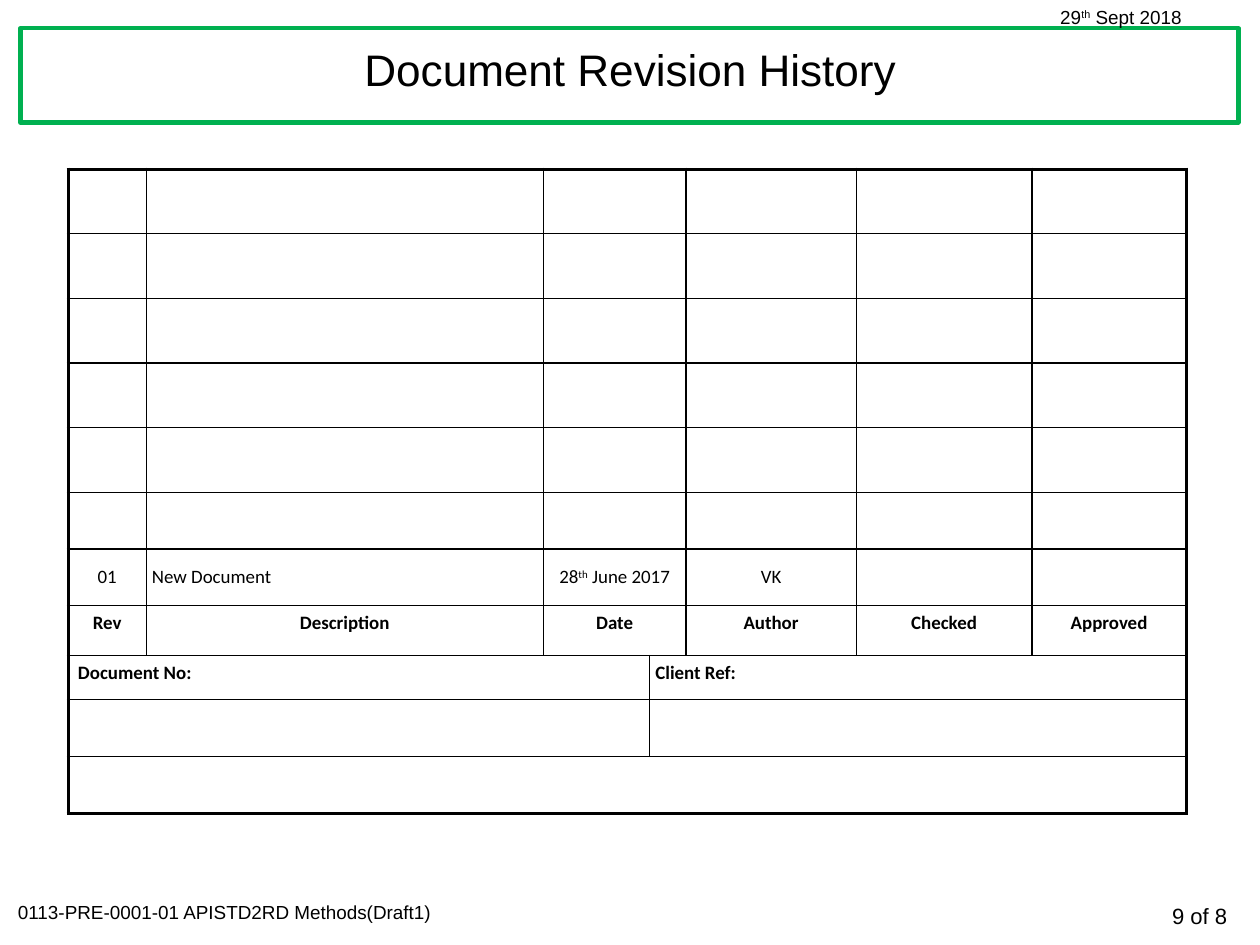
"""Build the document revision history slide."""
import pptx
import pptx.dml.color
import pptx.enum.shapes
import pptx.enum.text
import pptx.oxml
import pptx.oxml.ns
import pptx.util

Inches, Pt = pptx.util.Inches, pptx.util.Pt
ALIGN, ANCHOR = pptx.enum.text.PP_ALIGN, pptx.enum.text.MSO_ANCHOR
LEFT, CENTER, RIGHT = ALIGN.LEFT, ALIGN.CENTER, ALIGN.RIGHT

COLORS = {"text": "000000", "border": "000000", "frame": "00B050", "paper": "FFFFFF"}
TITLE = "Document Revision History"
NOTES = [
    ((9.4, 7.91, 1.52, 0.34), ["9 of 8"], 14, RIGHT),
    ((0.06, 7.89, 4.54, 0.3), ["0113-PRE-0001-01 APISTD2RD Methods(Draft1)"], 12, LEFT),
    ((9.25, 0, 1.68, 0.3), ["29", "^th", " Sept 2018"], 12, LEFT),
]
COLUMNS = [0.69, 3.5, 0.94, 0.32, 1.5, 1.55, 1.36]
ROWS = [0.57] * 5 + [0.5, 0.5, 0.44, 0.39, 0.5, 0.5]
REVISION_ROW, HEADER_ROW, REFERENCE_ROW = 6, 7, 8
REVISION = {0: ["01"], 1: ["New Document"], 2: ["28", "^th", " June 2017"], 4: ["VK"]}
HEADER = {0: ["Rev"], 1: ["Description"], 2: ["Date"], 4: ["Author"],
          5: ["Checked"], 6: ["Approved"]}
REFERENCES = {0: [" Document No:"], 3: ["Client Ref:"]}
MERGES = [(row, 2, 3) for row in range(REFERENCE_ROW)]
MERGES += [(row, first, last) for row in (8, 9) for first, last in ((0, 2), (3, 6))]
MERGES += [(10, 0, 6)]
THIN, THICK = 1, 2.25


def rgb(name):
    return pptx.dml.color.RGBColor.from_string(COLORS[name])


def write(tf, runs, size, align, font="Arial", bold=False):
    """Fill the first paragraph; a run that starts with ^ is superscript."""
    p = tf.paragraphs[0]
    p.alignment = align
    for text in runs:
        r = p.add_run()
        r.text = text.lstrip("^")
        r.font.name, r.font.size, r.font.bold = font, Pt(size), bold
        r.font.color.rgb = rgb("text")
        if text.startswith("^"):
            r.font._element.set("baseline", "30000")
    return p


def set_borders(cell, widths):
    """Draw the left, right, top and bottom lines of a cell."""
    tc_pr = cell._tc.get_or_add_tcPr()
    for side, width in zip("LRTB", widths):
        tc_pr.append(pptx.oxml.parse_xml(
            f'<a:ln{side} {pptx.oxml.ns.nsdecls("a")} w="{int(Pt(width))}"><a:solidFill>'
            f'<a:srgbClr val="{COLORS["border"]}"/></a:solidFill></a:ln{side}>'))


def add_title(s):
    frame = s.shapes.add_shape(pptx.enum.shapes.MSO_SHAPE.RECTANGLE,
                               *map(Inches, (0.18, 0.25, 10.74, 0.83)))
    frame.shadow.inherit = False
    frame.fill.solid()
    frame.fill.fore_color.rgb = rgb("paper")
    frame.line.color.rgb = rgb("frame")
    frame.line.width = Pt(2.75)
    title = s.shapes.title
    title._element.addprevious(frame._element)
    title.left, title.top, title.width, title.height = map(Inches, (0.21, 0.22, 10.69, 0.83))
    tf = title.text_frame
    tf.auto_size = pptx.enum.text.MSO_AUTO_SIZE.NONE
    tf.vertical_anchor = ANCHOR.MIDDLE
    write(tf, [TITLE], 28, CENTER).line_spacing = 0.9


def add_notes(s):
    for box, runs, size, align in NOTES:
        tf = s.shapes.add_textbox(*map(Inches, box)).text_frame
        tf.word_wrap = True
        tf.auto_size = pptx.enum.text.MSO_AUTO_SIZE.SHAPE_TO_FIT_TEXT
        write(tf, runs, size, align)


def add_history(s):
    table = s.shapes.add_table(len(ROWS), len(COLUMNS), Inches(0.6), Inches(1.49),
                               Inches(sum(COLUMNS)), Inches(sum(ROWS))).table
    table.first_row = table.horz_banding = False
    for column, width in zip(table.columns, COLUMNS):
        column.width = Inches(width)
    for row, height in zip(table.rows, ROWS):
        row.height = Inches(height)
    for row, first, last in MERGES:
        table.cell(row, first).merge(table.cell(row, last))

    last_row, last_column = len(ROWS) - 1, len(COLUMNS) - 1
    for row in range(len(ROWS)):
        for column in range(len(COLUMNS)):
            cell = table.cell(row, column)
            end = column + cell.span_width - 1 if cell.is_merge_origin else column
            outer = (column == 0, end == last_column, row == 0, row == last_row)
            set_borders(cell, [THICK if edge else THIN for edge in outer])
            cell.fill.background()
            cell.margin_left = cell.margin_right = Inches(0.05)
            cell.margin_top = cell.margin_bottom = Inches(0.05)

    for row, texts in ((REVISION_ROW, REVISION), (HEADER_ROW, HEADER),
                       (REFERENCE_ROW, REFERENCES)):
        for column, runs in texts.items():
            cell = table.cell(row, column)
            is_revision = row == REVISION_ROW
            left = row == REFERENCE_ROW or (is_revision and column == 1)
            cell.vertical_anchor = ANCHOR.MIDDLE if is_revision else ANCHOR.TOP
            write(cell.text_frame, runs, 12, LEFT if left else CENTER, "Calibri",
                  not is_revision)


def main():
    prs = pptx.Presentation()
    prs.slide_width, prs.slide_height = Inches(11.11), Inches(8.33)
    s = prs.slides.add_slide(prs.slide_layouts[5])
    add_title(s)
    add_notes(s)
    add_history(s)
    prs.save("out.pptx")


if __name__ == "__main__":
    main()
